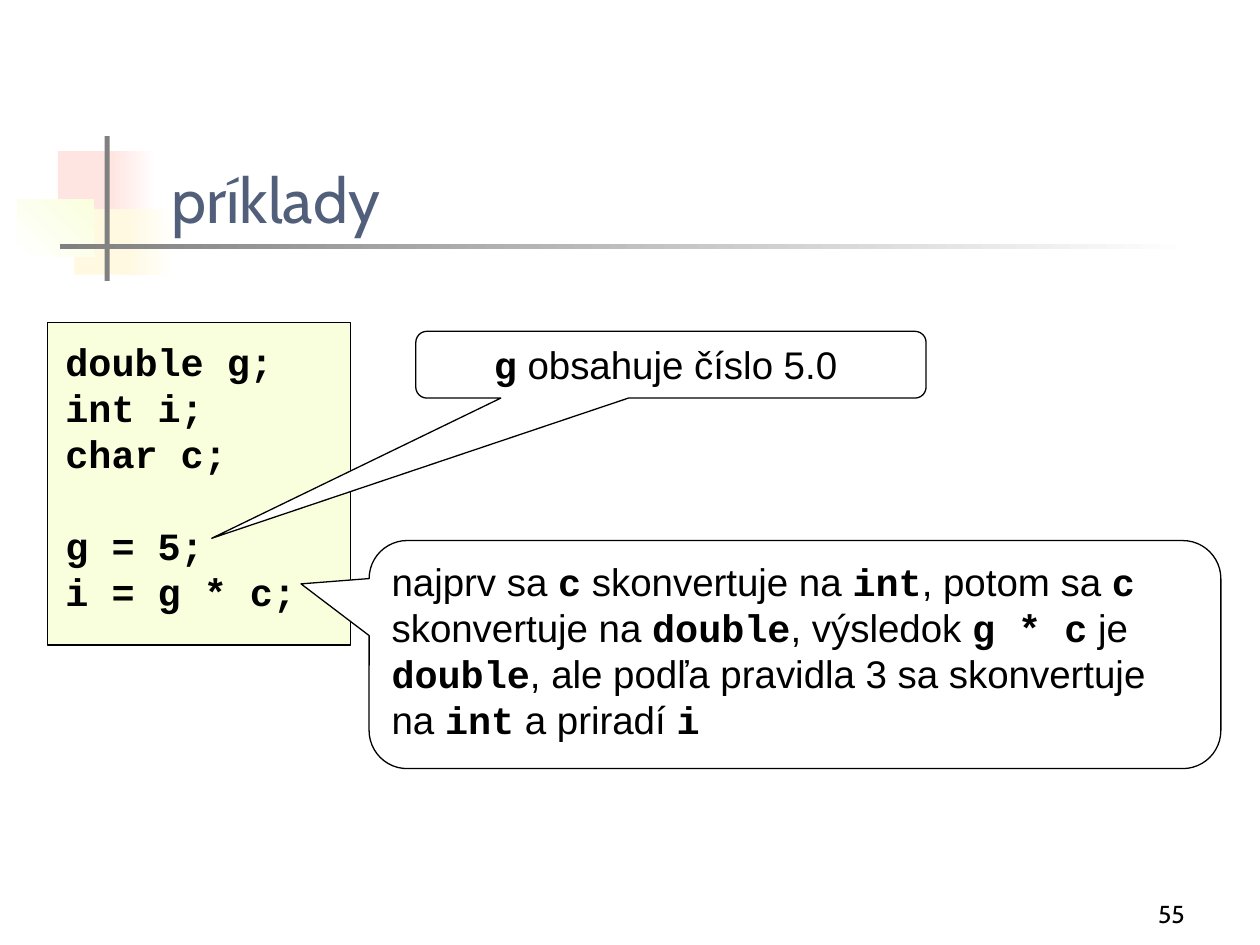
import pptx
import pptx.util
from pptx.dml.color import RGBColor
from pptx.enum.shapes import MSO_SHAPE
from pptx.enum.text import MSO_ANCHOR, PP_ALIGN

WIDTH, HEIGHT = 10, 7.5

BLACK = RGBColor(0x00, 0x00, 0x00)
WHITE = RGBColor(0xFF, 0xFF, 0xFF)
GREY = RGBColor(0x80, 0x80, 0x80)
SLATE = RGBColor(0x51, 0x5F, 0x7B)
PINK = RGBColor(0xFF, 0xE5, 0xE1)
CREAM = RGBColor(0xFF, 0xF9, 0xE1)
LIME = RGBColor(0xF9, 0xFF, 0xDD)

HEADING_FONT, BODY_FONT, CODE_FONT = "Cabin", "Arial", "Courier New"
BODY_SIZE, LINE_PITCH = 22, 26.4
BODY_INSET = 0.09
RULE = 0.04

DECLARATIONS = ["double g;", "int i;", "char c;"]
ASSIGNMENTS = ["g = 5;", "i = g * c;"]
CONVERSION = ("najprv sa `c` skonvertuje na `int`, potom sa `c` skonvertuje na "
              "`double`, výsledok `g * c` je `double`, ale podľa pravidla 3 sa "
              "skonvertuje na `int` a priradí `i`")


def inches(box):
    return [pptx.util.Inches(length) for length in box]


def add_block(slide, box, colors, angle=180, outline=None,
              kind=MSO_SHAPE.RECTANGLE):
    """Add a shape filled with one colour, or a gradient between two."""
    block = slide.shapes.add_shape(kind, *inches(box))
    block.shadow.inherit = False
    if len(colors) == 1:
        block.fill.solid()
        block.fill.fore_color.rgb = colors[0]
    else:
        block.fill.gradient()
        block.fill.gradient_angle = angle
        for stop, color in zip(block.fill.gradient_stops, colors):
            stop.color.rgb = color
    if outline is None:
        block.line.fill.background()
    else:
        block.line.color.rgb = outline
        block.line.width = pptx.util.Pt(0.75)
    return block


def write(holder, lines, font=BODY_FONT, size=BODY_SIZE, color=BLACK,
          bold=False, align=PP_ALIGN.LEFT, anchor=MSO_ANCHOR.TOP,
          inset=BODY_INSET, pitch=None, gap_before=None):
    """Write one paragraph per line; words between backticks are set as code.

    gap_before is the index of the line that follows an empty line's space.
    """
    frame = holder.text_frame
    frame.word_wrap = True
    frame.vertical_anchor = anchor
    frame.margin_left = frame.margin_right = pptx.util.Inches(inset)
    frame.margin_top = frame.margin_bottom = pptx.util.Inches(0.05)
    for index, line in enumerate(lines):
        paragraph = frame.paragraphs[0] if index == 0 else frame.add_paragraph()
        paragraph.alignment = align
        if pitch:
            paragraph.line_spacing = pptx.util.Pt(pitch)
        if index == gap_before:
            paragraph.space_before = pptx.util.Pt(pitch)
        for part, words in enumerate(line.split("`")):
            if not words:
                continue
            is_code = part % 2 == 1
            run = paragraph.add_run()
            run.text = words
            run.font.name = CODE_FONT if is_code else font
            run.font.bold = is_code or bold
            run.font.size = pptx.util.Pt(size)
            run.font.color.rgb = color


def add_text(slide, box, lines, **text_format):
    write(slide.shapes.add_textbox(*inches(box)), lines, **text_format)


def add_callout(slide, box, pointer, line, align=PP_ALIGN.LEFT):
    """Add a speech bubble; pointer is the tip's offset in shares of its size."""
    callout = add_block(slide, box, [WHITE], outline=BLACK,
                        kind=MSO_SHAPE.ROUNDED_RECTANGULAR_CALLOUT)
    for index, value in enumerate((*pointer, 0.167)):
        callout.adjustments[index] = value
    write(callout, [line], align=align, pitch=LINE_PITCH)


def add_ornament(slide):
    """Add the fading squares and the crossed rules beside the title."""
    add_block(slide, (0.46, 1.2, 0.48, 0.52), [PINK])
    add_block(slide, (0.88, 1.2, 0.36, 0.52), [WHITE, PINK])
    add_block(slide, (0.59, 1.66, 0.46, 0.52), [CREAM])
    add_block(slide, (1, 1.66, 0.4, 0.52), [WHITE, CREAM])
    add_block(slide, (0.14, 1.58, 0.61, 0.46), [LIME, WHITE], angle=225)
    add_block(slide, (0.83, 1.08, RULE, 1.15), [GREY])
    add_block(slide, (0.48, 1.94, 0.9 * WIDTH, RULE), [WHITE, GREY])


def add_code(slide):
    add_block(slide, (0.38, 2.56, 2.4, 2.56), [LIME], outline=BLACK)
    add_text(slide, (0.43, 2.63, 2.3, 2.29), DECLARATIONS + ASSIGNMENTS,
             font=CODE_FONT, bold=True, pitch=LINE_PITCH,
             gap_before=len(DECLARATIONS))


def main():
    deck = pptx.Presentation()
    deck.slide_width, deck.slide_height = inches((WIDTH, HEIGHT))
    slide = deck.slides.add_slide(deck.slide_layouts[6])

    add_ornament(slide)
    add_text(slide, (1.26, 0.67, 8.52, 1.25), ["príklady"], font=HEADING_FONT,
             size=36, color=SLATE, anchor=MSO_ANCHOR.BOTTOM, inset=0.1)
    add_code(slide)
    add_callout(slide, (3.3, 2.63, 4.05, 0.53), (-0.9, 2.6),
                "`g` obsahuje číslo 5.0 ", align=PP_ALIGN.CENTER)
    add_callout(slide, (2.93, 4.29, 6.76, 1.81), (-0.58, -0.31), CONVERSION)
    add_text(slide, (7.42, 6.92, 2.08, 0.5), ["55"], font=HEADING_FONT, size=14,
             align=PP_ALIGN.RIGHT, anchor=MSO_ANCHOR.BOTTOM, inset=0.1)

    deck.save("out.pptx")


if __name__ == "__main__":
    main()
